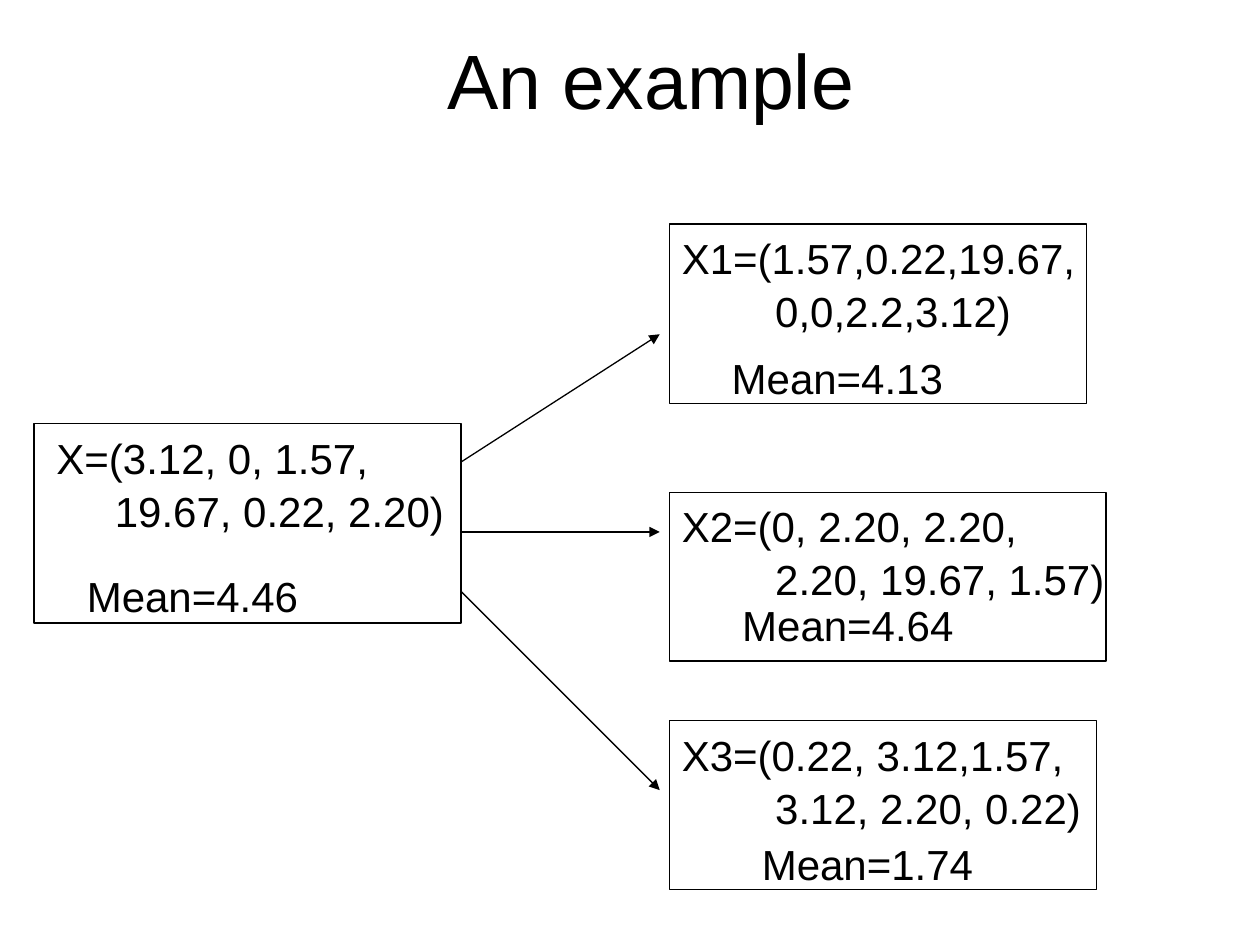
"""Build a slide that shows one sample and three resamples with their means."""
from lxml.etree import SubElement
from pptx import Presentation
from pptx.dml.color import RGBColor
from pptx.enum.shapes import MSO_CONNECTOR, MSO_SHAPE
from pptx.enum.text import MSO_ANCHOR, PP_ALIGN
from pptx.oxml.ns import qn
from pptx.util import Pt


def paint(part, shade):
    part.rgb = RGBColor.from_string(shade)


def write(frame, text, size):
    frame.text = text
    frame.word_wrap = True
    for line in frame.paragraphs:
        font = line.runs[0].font
        font.name, font.size = "Arial", Pt(size)
        paint(font.color, INK)


INK = "000000"
deck = Presentation()
deck.slide_width, deck.slide_height = Pt(720), Pt(540)
slide = deck.slides.add_slide(deck.slide_layouts[5])

title = slide.shapes.title
title.left, title.top, title.width, title.height = Pt(48), Pt(0), Pt(648), Pt(90)
write(title.text_frame, "An example", 44)
title.text_frame.vertical_anchor = MSO_ANCHOR.MIDDLE
title.text_frame.paragraphs[0].alignment = PP_ALIGN.CENTER

samples = [
    ((19.5, 242, 244, 114), (25.2, 238), 33.4,
     "X=(3.12, 0, 1.57,\n19.67, 0.22, 2.20)", (42.5, 321.2), "Mean=4.46"),
    ((382.5, 128, 238.5, 102.5), (382.5, 242), 53.4,
     "X1=(1.57,0.22,19.67,\n0,0,2.2,3.12)", (411, 196.2), "Mean=4.13"),
    ((382.5, 281.3, 249.5, 96.5), (382.5, 259), 53.4,
     "X2=(0, 2.20, 2.20,\n2.20, 19.67, 1.57)", (417, 337.8), "Mean=4.64"),
    ((382.5, 411.7, 244, 96.5), (382.5, 245), 53.4,
     "X3=(0.22, 3.12,1.57,\n3.12, 2.20, 0.22)", (428.2, 474.2), "Mean=1.74"),
]
for frame, (left, width), indent, values, spot, mean in samples:
    group = slide.shapes.add_group_shape()
    texts = [(values, (left, frame[1], width, 64.8)), (mean, (*spot, 137, 36))]
    for text, place in texts:
        box = group.shapes.add_textbox(*map(Pt, place))
        write(box.text_frame, text, 24)
        for line in box.text_frame.paragraphs:
            line.line_spacing = 1.05
        for line in box.text_frame.paragraphs[1:]:
            line._p.get_or_add_pPr().set("marL", str(Pt(indent)))
    rect = group.shapes.add_shape(MSO_SHAPE.RECTANGLE, *map(Pt, frame))
    rect.shadow.inherit = False
    rect.fill.background()
    paint(rect.line.fill.fore_color if rect.line.fill.type else rect.line.color, INK)
    rect.line.width = Pt(0.75)

for start, end in [(264, 191), (304, 304), (338, 451.5)]:
    arrow = slide.shapes.add_connector(
        MSO_CONNECTOR.STRAIGHT, Pt(263.5), Pt(start), Pt(377), Pt(end))
    paint(arrow.line.color, INK)
    arrow.line.width = Pt(0.75)
    SubElement(arrow.line._get_or_add_ln(), qn("a:tailEnd"), type="triangle")
    SubElement(arrow._element.spPr, qn("a:effectLst"))

deck.save("out.pptx")
